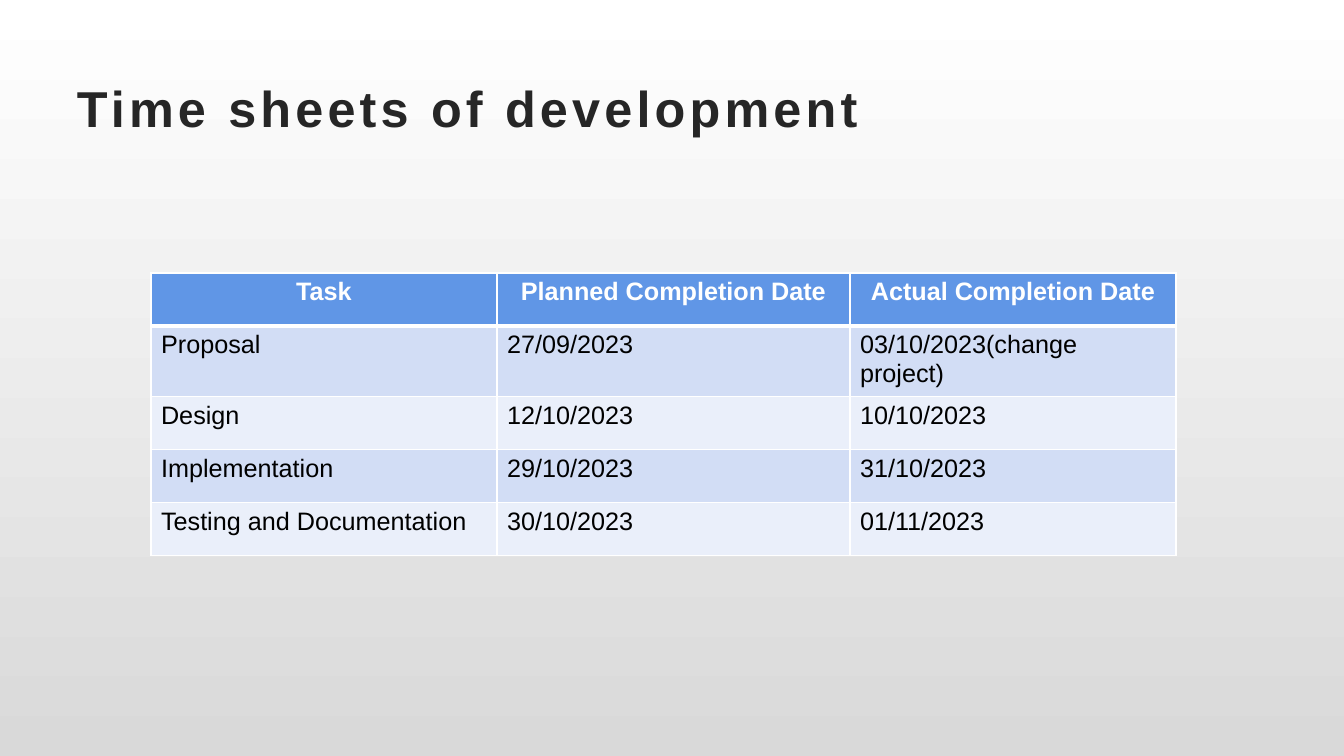
from lxml.etree import SubElement
from pptx import Presentation
from pptx.dml.color import RGBColor
from pptx.enum.text import MSO_ANCHOR as ANCHOR, PP_ALIGN as ALIGN
from pptx.oxml.ns import qn
from pptx.util import Emu, Pt

SCALE = 12192000 / 1344
FONT = "Arial"
WHITE = "FFFFFF"
HEADER_FILL = "6096E6"
BAND_FILLS = ["D2DDF5", "EAEFFA"]
COL_WIDTHS = [346, 353, 326]
ROW_HEIGHT = 53
TIMESHEET = [
    ["Task", "Planned Completion Date", "Actual Completion Date"],
    ["Proposal", "27/09/2023", "03/10/2023(change project)"],
    ["Design", "12/10/2023", "10/10/2023"],
    ["Implementation", "29/10/2023", "31/10/2023"],
    ["Testing and Documentation", "30/10/2023", "01/11/2023"],
]


def px(n):
    """Turn pixels into EMU."""
    return Emu(round(n * SCALE))


def rgb(color):
    """Turn a hex string into a colour."""
    return RGBColor.from_string(color)


def style(p, size, color, bold):
    """Set the font of a paragraph."""
    p.font.name = FONT
    p.font.size = Pt(size)
    p.font.bold = bold
    p.font.color.rgb = rgb(color)


def set_background(s, top, bottom):
    """Fill the slide with a gradient running downwards."""
    fill = s.background.fill
    fill.gradient()
    fill.gradient_angle = 270
    for stop, color in zip(fill.gradient_stops, (top, bottom)):
        stop.color.rgb = rgb(color)


def add_title(s, x, y, w, h, text):
    """Add the letter-spaced slide title."""
    tf = s.shapes.add_textbox(px(x), px(y), px(w), px(h)).text_frame
    tf.word_wrap = True
    tf.vertical_anchor = ANCHOR.MIDDLE
    p = tf.paragraphs[0]
    r = p.add_run()
    r.text = text
    r._r.get_or_add_rPr().set("spc", "300")
    style(p, 36, "262626", True)


def set_borders(cell, bottom):
    """Draw white cell borders, with the bottom one of the given width."""
    tc_pr = cell._tc.get_or_add_tcPr()
    for side, width in (("L", 1), ("R", 1), ("T", 1), ("B", bottom)):
        ln = SubElement(tc_pr, qn(f"a:ln{side}"), w=str(Pt(width)))
        SubElement(SubElement(ln, qn("a:solidFill")), qn("a:srgbClr"), val=WHITE)


def add_timesheet(s, x, y, rows):
    """Add the banded table of tasks and dates."""
    table = s.shapes.add_table(len(rows), len(COL_WIDTHS), px(x), px(y),
                               px(sum(COL_WIDTHS)), px(ROW_HEIGHT * len(rows))).table
    for col, width in zip(table.columns, COL_WIDTHS):
        col.width = px(width)
    for i, row in enumerate(rows):
        header = i == 0
        for j, text in enumerate(row):
            cell = table.cell(i, j)
            set_borders(cell, 3 if header else 1)
            cell.fill.solid()
            cell.fill.fore_color.rgb = rgb(HEADER_FILL if header else BAND_FILLS[(i - 1) % 2])
            cell.text = text
            p = cell.text_frame.paragraphs[0]
            p.alignment = ALIGN.CENTER if header else ALIGN.LEFT
            style(p, 18, WHITE if header else "000000", header)


def main():
    """Build and save the slide."""
    prs = Presentation()
    prs.slide_width, prs.slide_height = px(1344), px(756)
    s = prs.slides.add_slide(prs.slide_layouts[6])
    set_background(s, WHITE, "D9D9D9")
    add_title(s, 67, 68, 1210, 78, "Time sheets of development")
    add_timesheet(s, 151, 273, TIMESHEET)
    prs.save("out.pptx")


if __name__ == "__main__":
    main()
